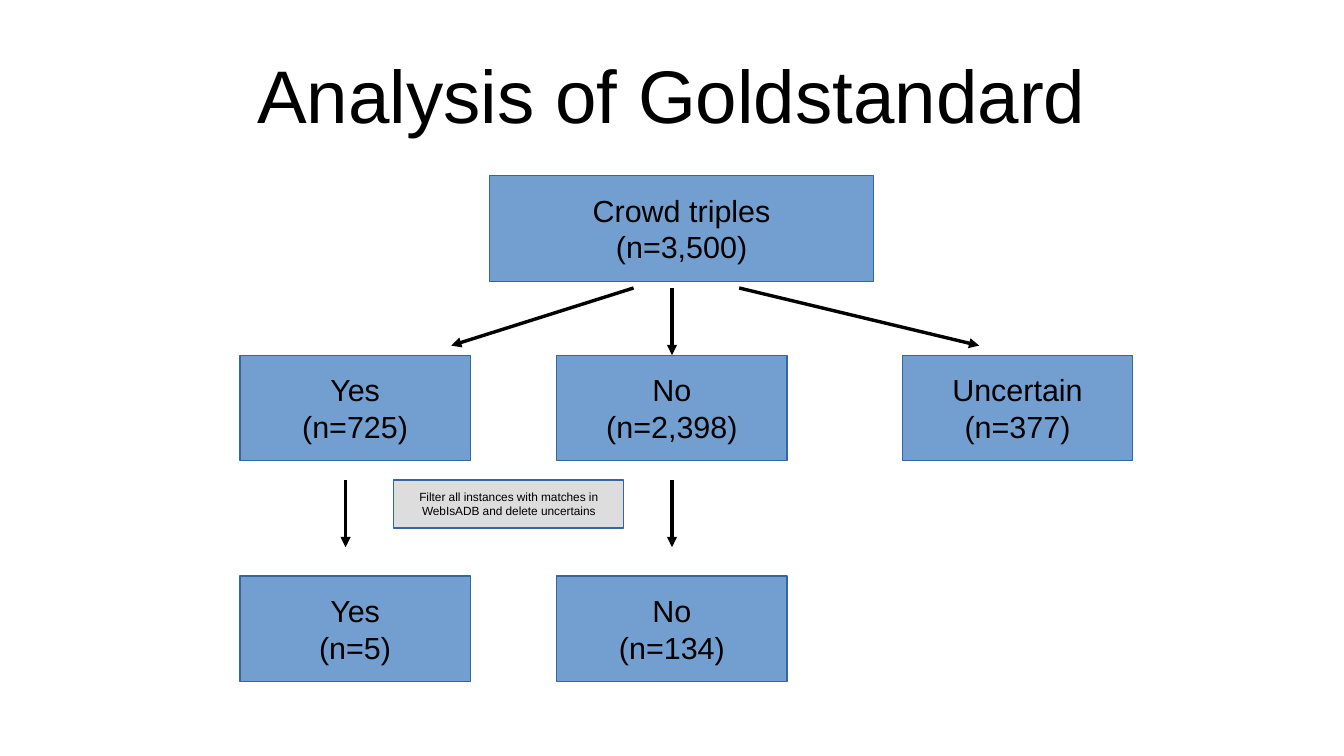
from pptx import Presentation
from pptx.dml.color import RGBColor
from pptx.enum.shapes import MSO_CONNECTOR, MSO_SHAPE
from pptx.enum.text import MSO_ANCHOR, PP_ALIGN
from pptx.oxml.ns import qn
from pptx.util import Inches, Pt
from lxml import etree

STRAIGHT = MSO_CONNECTOR.STRAIGHT
RECTANGLE = MSO_SHAPE.RECTANGLE
MIDDLE = MSO_ANCHOR.MIDDLE
CENTER = PP_ALIGN.CENTER

BLACK = RGBColor(0x00, 0x00, 0x00)
BLUE = RGBColor(0x72, 0x9F, 0xCF)
DARK_BLUE = RGBColor(0x34, 0x65, 0xA4)
GREY = RGBColor(0xDD, 0xDD, 0xDD)

SLIDE_WIDTH, SLIDE_HEIGHT = Inches(11.02), Inches(6.2)
COLUMNS, ROWS = 28, 15.75
BOX_WIDTH, BOX_HEIGHT = 4.8, 2.2
YES_COLUMN, NO_COLUMN, UNCERTAIN_COLUMN = 5, 11.6, 18.8
ANSWER_ROW, FILTERED_ROW = 7.4, 12


class FlowSlide:
    """Draws flow chart elements on a slide grid in one shared style."""

    def __init__(self, slide, font_name="Arial"):
        self.slide = slide
        self.font_name = font_name

    def place(self, column, row):
        return round(SLIDE_WIDTH * column / COLUMNS), round(SLIDE_HEIGHT * row / ROWS)

    def set_text(self, text_frame, lines, size):
        text_frame.vertical_anchor = MIDDLE
        text_frame.text = "\n".join(lines)
        for paragraph in text_frame.paragraphs:
            paragraph.alignment = CENTER
            paragraph.font.name = self.font_name
            paragraph.font.size = Pt(size)
            paragraph.font.color.rgb = BLACK

    def title(self, text, column, row, width, height):
        shape = self.slide.shapes.title
        shape.left, shape.top = self.place(column, row)
        shape.width, shape.height = self.place(width, height)
        frame = shape.text_frame
        frame.margin_left = frame.margin_right = 0
        frame.margin_top = frame.margin_bottom = 0
        self.set_text(frame, [text], 44)

    def box(self, lines, column, row, width=BOX_WIDTH, height=BOX_HEIGHT, fill=BLUE, size=18):
        shape = self.slide.shapes.add_shape(
            RECTANGLE, *self.place(column, row), *self.place(width, height))
        shape.shadow.inherit = False
        shape.fill.solid()
        shape.fill.fore_color.rgb = fill
        shape.line.color.rgb = DARK_BLUE
        shape.line.width = Pt(0)
        shape.text_frame.word_wrap = False
        self.set_text(shape.text_frame, lines, size)

    def arrow(self, start, end):
        connector = self.slide.shapes.add_connector(
            STRAIGHT, *self.place(*start), *self.place(*end))
        connector.line.color.rgb = BLACK
        connector.line.width = Pt(0)
        properties = connector.element.spPr
        etree.SubElement(properties.find(qn("a:ln")), qn("a:tailEnd"), type="triangle")
        etree.SubElement(properties, qn("a:effectLst"))


def main():
    presentation = Presentation()
    presentation.slide_width, presentation.slide_height = SLIDE_WIDTH, SLIDE_HEIGHT
    flow = FlowSlide(presentation.slides.add_slide(presentation.slide_layouts[5]))

    flow.title("Analysis of Goldstandard", 1.4, 0.63, 25.2, 2.64)
    flow.box(["Crowd triples", "(n=3,500)"], 10.2, 3.66, width=8)

    answers = [
        ("Yes", "725", YES_COLUMN, ANSWER_ROW),
        ("No", "2,398", NO_COLUMN, ANSWER_ROW),
        ("Uncertain", "377", UNCERTAIN_COLUMN, ANSWER_ROW),
        ("Yes", "5", YES_COLUMN, FILTERED_ROW),
        ("No", "134", NO_COLUMN, FILTERED_ROW),
    ]
    for answer, count, column, row in answers:
        flow.box([answer, f"(n={count})"], column, row)

    flow.box(["Filter all instances with matches in", "WebIsADB and delete uncertains"],
             8.2, 10, height=1, fill=GREY, size=7)

    arrows = [
        ((13.2, 6), (9.4, 7.2)),
        ((14, 6), (14, ANSWER_ROW)),
        ((15.4, 6), (20.4, 7.2)),
        ((7.2, 10), (7.2, 11.4)),
        ((14, 10), (14, 11.4)),
    ]
    for start, end in arrows:
        flow.arrow(start, end)

    presentation.save("out.pptx")


if __name__ == "__main__":
    main()
